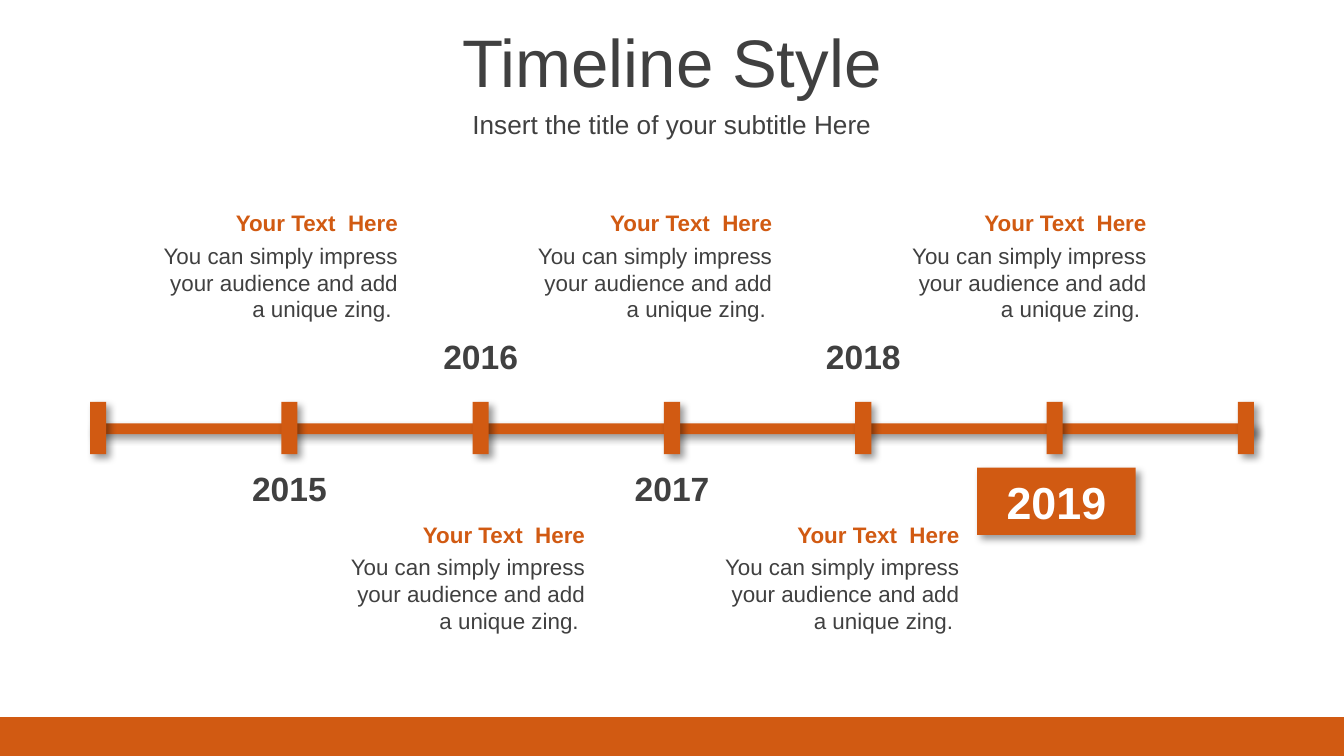
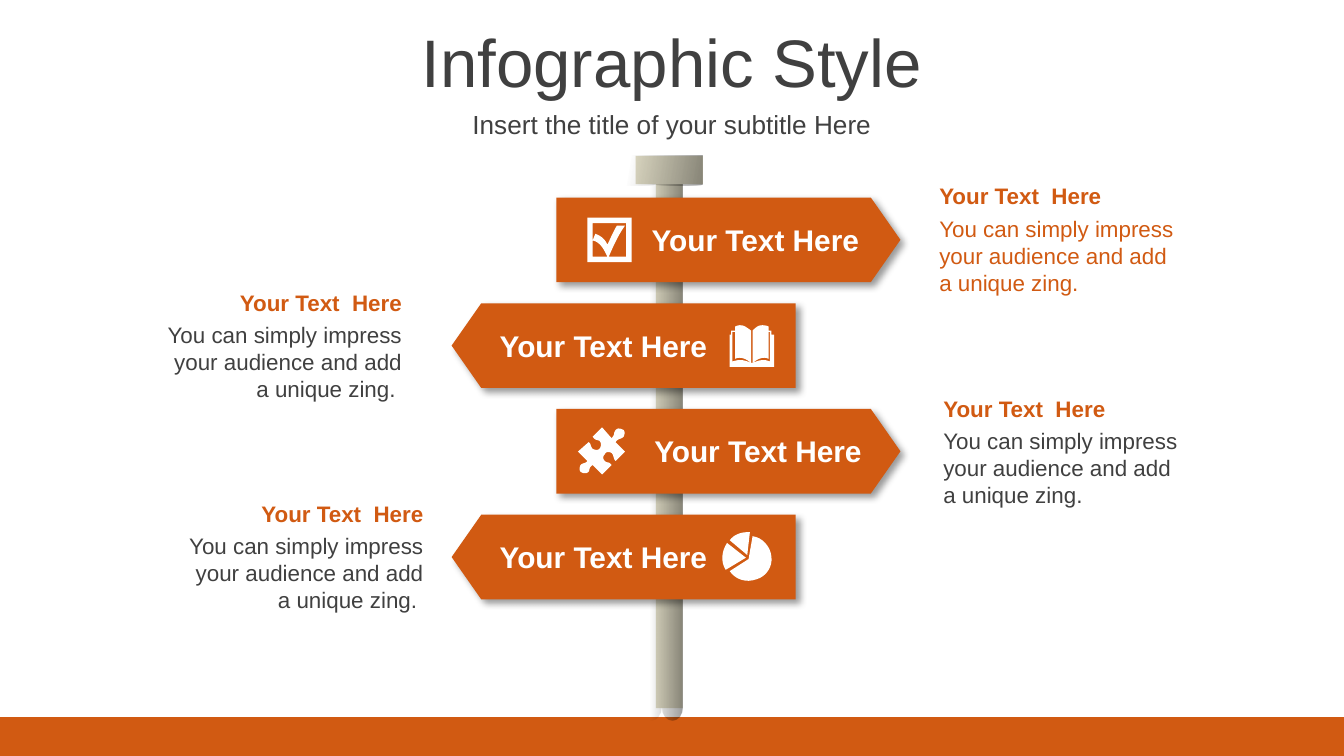
"""Build a timeline slide and a signpost infographic slide."""
from math import cos, pi, sin

from lxml import etree
from pptx import Presentation
from pptx.dml.color import RGBColor
from pptx.enum.shapes import MSO_SHAPE
from pptx.enum.text import MSO_ANCHOR, MSO_AUTO_SIZE, PP_ALIGN
from pptx.oxml.ns import qn
from pptx.util import Inches, Pt

RECTANGLE, PENTAGON = MSO_SHAPE.RECTANGLE, MSO_SHAPE.PENTAGON
LEFT, CENTER, RIGHT = PP_ALIGN.LEFT, PP_ALIGN.CENTER, PP_ALIGN.RIGHT
TOP, MIDDLE = MSO_ANCHOR.TOP, MSO_ANCHOR.MIDDLE
GROW, FIXED = MSO_AUTO_SIZE.SHAPE_TO_FIT_TEXT, MSO_AUTO_SIZE.NONE

SLIDE_WIDTH = 10
SLIDE_HEIGHT = SLIDE_WIDTH * 9 / 16
BAND_HEIGHT = 0.29


class Theme:
    font = "Arial"
    accent = RGBColor(0xD1, 0x5A, 0x12)
    dark = RGBColor(0x40, 0x40, 0x40)
    white = RGBColor(0xFF, 0xFF, 0xFF)
    wood = RGBColor(0xDD, 0xD9, 0xC3)
    title, subtitle, body, year, sign, highlight = 36, 14, 12, 18, 16, 24


SUBTITLE = "Insert the title of your subtitle Here"
HEADING = "Your Text  Here"
BODY = "You can simply impress your audience and add a unique zing. "
SIGN_TEXT = "Your Text Here"

YEARS = ["2015", "2016", "2017", "2018"]
HIGHLIGHT_YEAR = "2019"
TICK_COUNT = 7
CAPTION_COUNT = 5

SIGNS = [
    {"points_right": True, "label": 4.74, "caption": (6.89, 1.31), "body": Theme.accent},
    {"points_right": False, "label": 3.61, "caption": (1.11, 2.1), "body": Theme.dark},
    {"points_right": True, "label": 4.76, "caption": (6.92, 2.89), "body": Theme.dark},
    {"points_right": False, "label": 3.61, "caption": (1.27, 3.67), "body": Theme.dark},
]

CHECKBOX = [
    [(4.41, 1.66), (4.41, 1.91), (4.52, 1.91), (4.5, 1.87, 4.47, 1.8, 4.41, 1.79),
     (4.43, 1.74), (4.48, 1.76, 4.5, 1.78, 4.52, 1.82), (4.55, 1.76, 4.56, 1.73, 4.59, 1.68),
     (4.65, 1.68), (4.6, 1.75, 4.56, 1.84, 4.53, 1.91), (4.66, 1.91), (4.66, 1.66)],
    [(4.37, 1.62), (4.7, 1.62), (4.7, 1.95), (4.37, 1.95)],
]
BOOK = [
    [(5.59, 2.7), (5.6, 2.7), (5.65, 2.68, 5.68, 2.67, 5.73, 2.69), (5.73, 2.47),
     (5.72, 2.47), (5.72, 2.67), (5.68, 2.65, 5.64, 2.67, 5.6, 2.7), (5.6, 2.46),
     (5.62, 2.44, 5.64, 2.42, 5.67, 2.42), (5.68, 2.42, 5.7, 2.42, 5.72, 2.43),
     (5.72, 2.46), (5.74, 2.46), (5.74, 2.49), (5.76, 2.49), (5.76, 2.73), (5.43, 2.73),
     (5.43, 2.49), (5.44, 2.49), (5.44, 2.46), (5.47, 2.46), (5.47, 2.43),
     (5.49, 2.42, 5.5, 2.42, 5.51, 2.42), (5.54, 2.42, 5.56, 2.44, 5.59, 2.46),
     (5.59, 2.7), (5.55, 2.67, 5.51, 2.65, 5.47, 2.67), (5.47, 2.47), (5.45, 2.47),
     (5.45, 2.69), (5.51, 2.67, 5.54, 2.68, 5.59, 2.7)],
]
PUZZLE = [
    [(4.64, 3.2), (4.65, 3.21, 4.65, 3.23, 4.64, 3.25), (4.62, 3.27, 4.6, 3.26, 4.58, 3.29),
     (4.65, 3.36), (4.58, 3.43), (4.56, 3.41, 4.57, 3.39, 4.55, 3.37),
     (4.53, 3.36, 4.51, 3.36, 4.5, 3.38), (4.49, 3.39, 4.48, 3.41, 4.5, 3.43),
     (4.52, 3.45, 4.53, 3.43, 4.55, 3.46), (4.48, 3.53), (4.41, 3.46),
     (4.38, 3.48, 4.39, 3.49, 4.38, 3.51), (4.36, 3.53, 4.33, 3.52, 4.32, 3.51),
     (4.31, 3.5, 4.31, 3.48, 4.32, 3.46), (4.34, 3.44, 4.36, 3.45, 4.37, 3.43),
     (4.3, 3.36), (4.38, 3.29), (4.4, 3.3, 4.39, 3.32, 4.41, 3.34),
     (4.43, 3.35, 4.45, 3.35, 4.46, 3.34), (4.47, 3.33, 4.48, 3.3, 4.46, 3.28),
     (4.44, 3.27, 4.43, 3.28, 4.41, 3.25), (4.48, 3.18), (4.55, 3.26),
     (4.58, 3.23, 4.56, 3.23, 4.58, 3.2), (4.6, 3.18, 4.62, 3.19, 4.64, 3.2)],
]
PIE = [
    [(5.41, 4.04), (5.55, 4.15), (5.4, 4.24), (5.36, 4.18, 5.37, 4.1, 5.41, 4.04)],
    [(5.6, 3.99), (5.67, 4, 5.73, 4.06, 5.74, 4.14), (5.75, 4.22, 5.7, 4.29, 5.63, 4.31),
     (5.55, 4.34, 5.47, 4.31, 5.43, 4.25), (5.57, 4.16)],
    [(5.56, 3.96), (5.58, 3.96), (5.56, 4.13), (5.43, 4.02), (5.46, 3.98, 5.51, 3.96, 5.56, 3.96)],
]
ICONS = [BOOK, PUZZLE, PIE, CHECKBOX]


def add_child(parent, tag, **attributes):
    return etree.SubElement(parent, qn(tag), {name: str(value) for name, value in attributes.items()})


def add_black(parent, opacity):
    color = add_child(parent, "a:srgbClr", val="000000")
    add_child(color, "a:alpha", val=opacity * 1000)


def style(shape, color):
    shape.shadow.inherit = False
    shape.line.fill.background()
    shape.fill.solid()
    shape.fill.fore_color.rgb = color


def add_block(slide, box, color, shadow=False, kind=RECTANGLE):
    shape = slide.shapes.add_shape(kind, *map(Inches, box))
    style(shape, color)
    if shadow:
        effects = shape._element.spPr.find(qn("a:effectLst"))
        outer = add_child(effects, "a:outerShdw", blurRad=Pt(4), dist=Pt(3),
                          dir=2700000, algn="tl", rotWithShape=0)
        add_black(outer, 40)
    return shape


def write(shape, text, size, color, align=CENTER, bold=False, anchor=MIDDLE, fit=FIXED):
    frame = shape.text_frame
    frame.text = text
    frame.word_wrap = True
    frame.auto_size = fit
    frame.vertical_anchor = anchor
    paragraph = frame.paragraphs[0]
    paragraph.alignment = align
    font = paragraph.runs[0].font
    font.name, font.size, font.bold = Theme.font, Pt(size), bold
    font.color.rgb = color


def add_text(slide, box, *content, **options):
    write(slide.shapes.add_textbox(*map(Inches, box)), *content, **options)


def add_caption(slide, left, top, align, body_color=Theme.dark):
    add_text(slide, (left, top + 0.24, 1.98, 0.71), BODY, Theme.body, body_color,
             align=align, anchor=TOP, fit=GROW)
    add_text(slide, (left, top, 1.98, 0.3), HEADING, Theme.body, Theme.accent,
             align=align, bold=True, anchor=TOP, fit=GROW)


def flatten(contour, steps=8):
    points = [contour[0]]
    for segment in contour[1:]:
        if len(segment) == 2:
            points.append(segment)
            continue
        start, first, second, end = points[-1], segment[:2], segment[2:4], segment[4:]
        for step in range(1, steps + 1):
            t = step / steps
            u = 1 - t
            points.append(tuple(
                u ** 3 * a + 3 * u * u * t * b + 3 * u * t * t * c + t ** 3 * d
                for a, b, c, d in zip(start, first, second, end)))
    return points


def add_outline(slide, contours, color):
    contours = [[(Inches(x), Inches(y)) for x, y in flatten(contour)] for contour in contours]
    builder = slide.shapes.build_freeform(*contours[0][0])
    for index, points in enumerate(contours):
        if index:
            builder.move_to(*points[0])
        builder.add_line_segments(points[1:], close=True)
    shape = builder.convert_to_shape()
    style(shape, color)
    return shape


def add_shade(slide, left, top, right, bottom, depth, angle):
    radius = (right - left) / 6
    points = [(left, top), (right, top)]
    for scallop in range(3):
        middle = right - radius * (2 * scallop + 1)
        points += [(middle + radius * cos(pi * step / 8), bottom - depth + depth * sin(pi * step / 8))
                   for step in range(9)]
    shape = add_outline(slide, [points], Theme.wood)
    properties = shape._element.spPr
    gradient = etree.Element(qn("a:gradFill"), rotWithShape="1")
    stops = add_child(gradient, "a:gsLst")
    for position, opacity in ((48, 0), (100, 39)):
        add_black(add_child(stops, "a:gs", pos=position * 1000), opacity)
    add_child(gradient, "a:lin", ang=angle * 60000, scaled=0)
    properties.replace(properties.find(qn("a:solidFill")), gradient)


def add_slide(presentation, title):
    slide = presentation.slides.add_slide(presentation.slide_layouts[6])
    add_block(slide, (0, SLIDE_HEIGHT - BAND_HEIGHT, SLIDE_WIDTH, BAND_HEIGHT), Theme.accent)
    add_text(slide, (0, 0.14, SLIDE_WIDTH, 0.63), title, Theme.title, Theme.dark)
    add_text(slide, (0, 0.77, SLIDE_WIDTH, 0.31), SUBTITLE, Theme.subtitle, Theme.dark)
    return slide


def build_timeline(presentation):
    slide = add_slide(presentation, "Timeline Style")
    left, width, tick_width = 0.67, 8.66, 0.12
    gap = (width - tick_width) / (TICK_COUNT - 1)
    add_block(slide, (left, 3.15, width, 0.08), Theme.accent, shadow=True)
    for index in range(TICK_COUNT):
        add_block(slide, (left + index * gap, 2.99, tick_width, 0.39), Theme.accent, shadow=True)
    for index, year in enumerate(YEARS):
        center = left + tick_width / 2 + (index + 1) * gap
        top = 2.45 if index % 2 else 3.43
        add_text(slide, (center - 0.89 / 2, top, 0.89, 0.4), year, Theme.year, Theme.dark,
                 bold=True, fit=GROW)
    highlight = add_block(slide, (7.27, 3.48, 1.18, 0.5), Theme.accent, shadow=True)
    write(highlight, HIGHLIGHT_YEAR, Theme.highlight, Theme.white, bold=True)
    for index in range(CAPTION_COUNT):
        add_caption(slide, 1.08 + index * 5.57 / 4, 3.83 if index % 2 else 1.51, RIGHT)


def build_signpost(presentation):
    slide = add_slide(presentation, "Infographic Style")
    add_block(slide, (4.88, 1.33, 0.2, 3.94), Theme.wood)
    add_shade(slide, 4.61, 1.34, 5.08, 5.36, 0.1, 0)
    add_block(slide, (4.73, 1.16, 0.5, 0.21), Theme.wood)
    add_shade(slide, 4.17, 1.16, 5.23, 1.38, 0.01, 10)
    tops = [1.47 + index * 2.36 / 3 for index in range(len(SIGNS))]
    for sign, top in zip(SIGNS, tops):
        left = 4.14 if sign["points_right"] else 3.36
        board = add_block(slide, (left, top, 2.56, 0.63), Theme.accent, shadow=True, kind=PENTAGON)
        board.adjustments[0] = 0.35
        board.rotation = 0 if sign["points_right"] else 180
    for icon in ICONS:
        add_outline(slide, icon, Theme.white)
    for sign, top in zip(SIGNS, tops):
        add_text(slide, (sign["label"], top + 0.13, 1.75, 0.37), SIGN_TEXT, Theme.sign,
                 Theme.white, align=RIGHT, bold=True, anchor=TOP, fit=GROW)
        align = LEFT if sign["points_right"] else RIGHT
        add_caption(slide, *sign["caption"], align, sign["body"])


def main():
    presentation = Presentation()
    presentation.slide_width, presentation.slide_height = Inches(SLIDE_WIDTH), Inches(SLIDE_HEIGHT)
    build_timeline(presentation)
    build_signpost(presentation)
    presentation.save("out.pptx")


main()
